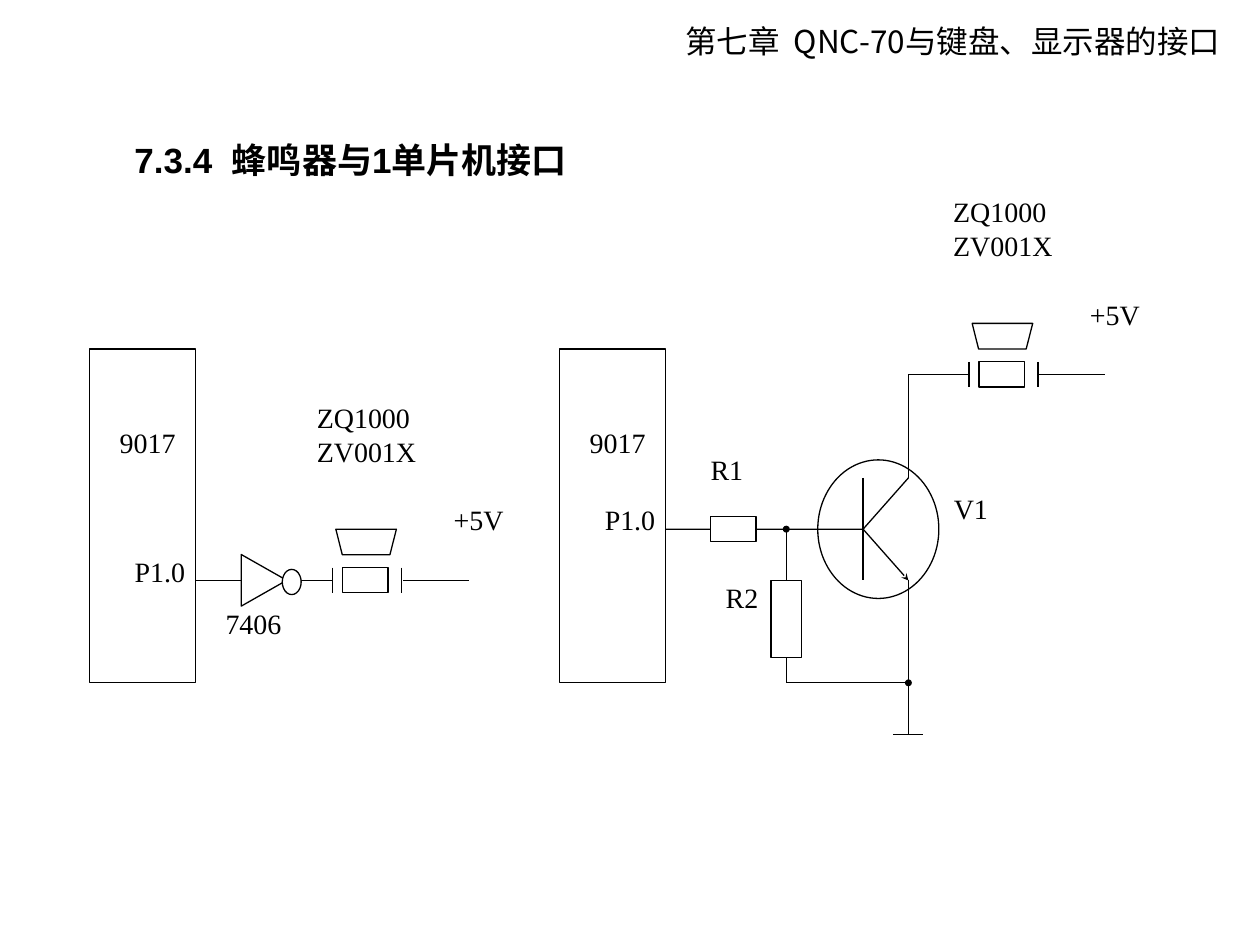
from lxml.etree import SubElement
from pptx import Presentation
from pptx.dml.color import RGBColor
from pptx.enum.shapes import MSO_CONNECTOR, MSO_SHAPE as SHAPE
from pptx.enum.text import MSO_ANCHOR as ANCHOR, PP_ALIGN as ALIGN
from pptx.oxml.ns import qn
from pptx.util import Pt

BLACK = RGBColor(0, 0, 0)
WHITE = RGBColor(255, 255, 255)
SERIF, SANS, CJK = "Times New Roman", "Arial", "Noto Sans CJK JP"
LINE_WIDTH = 0.75
MCU_WIDTH, MCU_HEIGHT = 60.5, 190.8
RESISTOR_LONG, RESISTOR_SHORT = 25.9, 14.4
BUZZER_LEAD_Y = 29.2
TOP, LEFT, BOTTOM, RIGHT = range(4)


def add_text(slide, box, lines, size=16, font=SERIF, bold=False, wrap=True,
             margins=(0, 0), align=ALIGN.JUSTIFY, anchor=ANCHOR.TOP):
    frame = slide.shapes.add_textbox(*map(Pt, box)).text_frame
    frame.word_wrap = wrap
    frame.vertical_anchor = anchor
    frame.margin_left = frame.margin_right = Pt(margins[0])
    frame.margin_top = frame.margin_bottom = Pt(margins[1])
    for index, line in enumerate(lines):
        paragraph = frame.add_paragraph() if index else frame.paragraphs[0]
        paragraph.alignment = align
        run = paragraph.add_run()
        run.text = line
        run.font.size, run.font.name, run.font.bold = Pt(size), font, bold
        run.font.color.rgb = BLACK
        SubElement(run.font._element, qn("a:ea"), typeface=CJK)


def add_label(slide, x, y, *lines, width=43.2):
    add_text(slide, (x, y, width, 29.5 * len(lines)), lines)


def outline(shape, filled=True):
    shape.shadow.inherit = False
    if filled:
        shape.fill.solid()
        shape.fill.fore_color.rgb = WHITE
    else:
        shape.fill.background()
    shape.line.color.rgb = BLACK
    shape.line.width = Pt(LINE_WIDTH)
    return shape


def add_part(slide, kind, x, y, width, height, filled=True):
    return outline(slide.shapes.add_shape(kind, *map(Pt, (x, y, width, height))), filled)


def add_wire(slide, x1, y1, x2, y2, head=None, tail=None):
    wire = slide.shapes.add_connector(MSO_CONNECTOR.STRAIGHT, *map(Pt, (x1, y1, x2, y2)))
    wire.line.color.rgb = BLACK
    wire.line.width = Pt(LINE_WIDTH)
    for tag, end in (("a:headEnd", head), ("a:tailEnd", tail)):
        if end:
            SubElement(wire.line._get_or_add_ln(), qn(tag), type=end, w="sm", len="sm")
    SubElement(wire._element.spPr, qn("a:effectLst"))
    return wire


def draw_mcu(slide, x, y, pin_y):
    """Draw the controller with its P1.0 pin at pin_y below the top."""
    add_part(slide, SHAPE.RECTANGLE, x, y, MCU_WIDTH, MCU_HEIGHT)
    add_label(slide, x + 17.3, y + 43.9, "9017")
    add_label(slide, x + 25.9, y + pin_y - 15, "P1.0")


def draw_buzzer(slide, x, y):
    """Draw the buzzer from its left plate at x and the top of its horn at y."""
    for plate_x in (x, x + 39.4):
        add_wire(slide, plate_x, y + 22, plate_x, y + 36.5)
    add_part(slide, SHAPE.RECTANGLE, x + 5.8, y + 22, 25.9, 14.4)
    horn = slide.shapes.build_freeform(Pt(x + 1.8), Pt(y))
    horn.add_line_segments([(Pt(x + dx), Pt(y + dy))
                            for dx, dy in ((36.4, 0), (32.7, 14.6), (5.5, 14.6))])
    outline(horn.convert_to_shape())
    add_wire(slide, x + 40.2, y + BUZZER_LEAD_Y, x + 77.8, y + BUZZER_LEAD_Y)
    add_label(slide, x + 69.1, y - 15, "+5V")
    add_label(slide, x - 9, y - 73.4, "ZQ1000", "ZV001X", width=69.1)


def draw_transistor(slide, x, y):
    add_part(slide, SHAPE.OVAL, x, y, 69.2, 79.2, filled=False)
    base_x, base_y, lead_x = x + 25.9, y + 39.6, x + 51.8
    add_wire(slide, base_x, base_y - 29.3, base_x, base_y + 29.3)
    add_wire(slide, base_x, base_y, lead_x, base_y - 29.3)
    add_wire(slide, base_x, base_y, lead_x, base_y + 29.3, tail="stealth")


def draw_inverter_circuit(slide, x, y):
    buzzer_x, buzzer_y = x + 139, y + 103
    wire_y = buzzer_y + BUZZER_LEAD_Y
    draw_mcu(slide, x, y, wire_y - y)
    add_wire(slide, x + MCU_WIDTH, wire_y, buzzer_x, wire_y)
    inverter = add_part(slide, SHAPE.ISOSCELES_TRIANGLE, x + 85, wire_y - 13, 29.5, 26)
    inverter.rotation = 90
    add_part(slide, SHAPE.OVAL, x + 110.2, wire_y - 6.2, 10.8, 14.4)
    add_label(slide, x + 77.8, y + 146.9, "7406")
    draw_buzzer(slide, buzzer_x, buzzer_y)


def draw_transistor_circuit(slide, x, y):
    base_y, rail_y, ground_y = y + 103, y + MCU_HEIGHT, y + 220.3
    branch_x, lead_x = x + 129.6, x + 199.4
    buzzer_x, buzzer_y = x + 234, y - 14.6
    supply_y = buzzer_y + BUZZER_LEAD_Y

    draw_mcu(slide, x, y, base_y - y)
    r1_x, r2_y = x + 86.4, y + 132.5
    r1 = add_part(slide, SHAPE.RECTANGLE, r1_x, base_y - RESISTOR_SHORT / 2,
                  RESISTOR_LONG, RESISTOR_SHORT)
    r2 = add_part(slide, SHAPE.RECTANGLE, branch_x - 8.65, r2_y, 17.3, 43.9)
    add_wire(slide, x + MCU_WIDTH, base_y, r1_x, base_y).end_connect(r1, LEFT)
    add_wire(slide, r1_x + RESISTOR_LONG, base_y, x + 173.5, base_y).begin_connect(r1, RIGHT)
    add_wire(slide, branch_x, base_y, branch_x, r2_y, head="oval").end_connect(r2, TOP)
    add_wire(slide, branch_x, r2_y + 43.9, branch_x, rail_y).begin_connect(r2, BOTTOM)
    add_wire(slide, branch_x, rail_y, lead_x, rail_y, tail="oval")

    draw_transistor(slide, lead_x - 51.8, base_y - 39.6)
    add_wire(slide, lead_x, base_y - 29.3, lead_x, supply_y)
    add_wire(slide, lead_x, supply_y, buzzer_x, supply_y)
    add_wire(slide, lead_x, base_y + 29.3, lead_x, ground_y)
    add_wire(slide, lead_x - 8.6, ground_y, lead_x + 8.6, ground_y)
    draw_buzzer(slide, buzzer_x, buzzer_y)

    add_label(slide, r1_x, y + 59, "R1")
    add_label(slide, x + 95, r2_y, "R2", width=25.9)
    add_label(slide, x + 225.4, y + 81.4, "V1")


def draw_headings(slide):
    add_text(slide, (384.5, 8.8, 332, 29), ["第七章  QNC-70与键盘、显示器的接口"], size=18,
             font=CJK, wrap=False, margins=(7.2, 3.6), align=ALIGN.LEFT)
    add_text(slide, (69.8, 65.5, 275.8, 51.8), ["7.3.4  蜂鸣器与1单片机接口"], size=20,
             font=SANS, bold=True, wrap=False, margins=(7.2, 13.7),
             align=ALIGN.LEFT, anchor=ANCHOR.MIDDLE)


def main():
    deck = Presentation()
    deck.slide_width, deck.slide_height = Pt(720), Pt(540)
    slide = deck.slides.add_slide(deck.slide_layouts[6])
    draw_headings(slide)
    draw_inverter_circuit(slide, 51.1, 199.4)
    draw_transistor_circuit(slide, 319.7, 199.4)
    deck.save("out.pptx")


if __name__ == "__main__":
    main()
